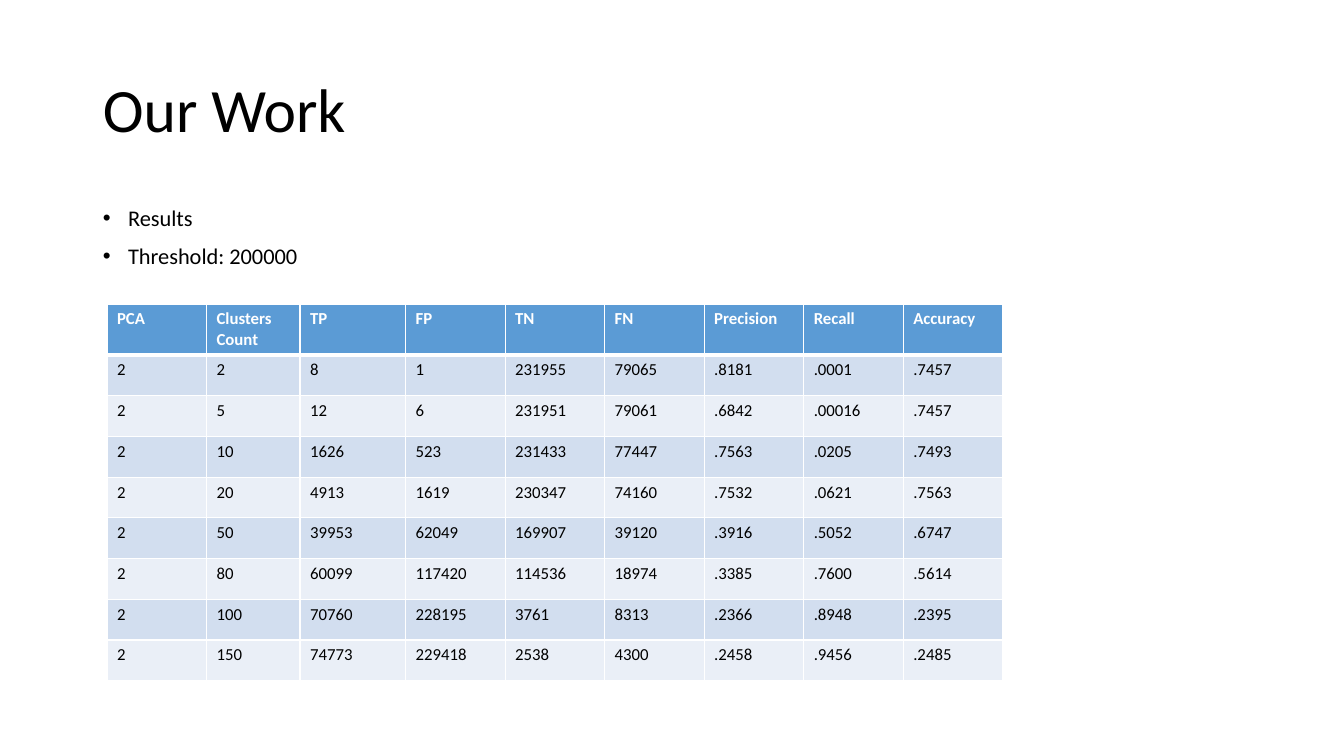
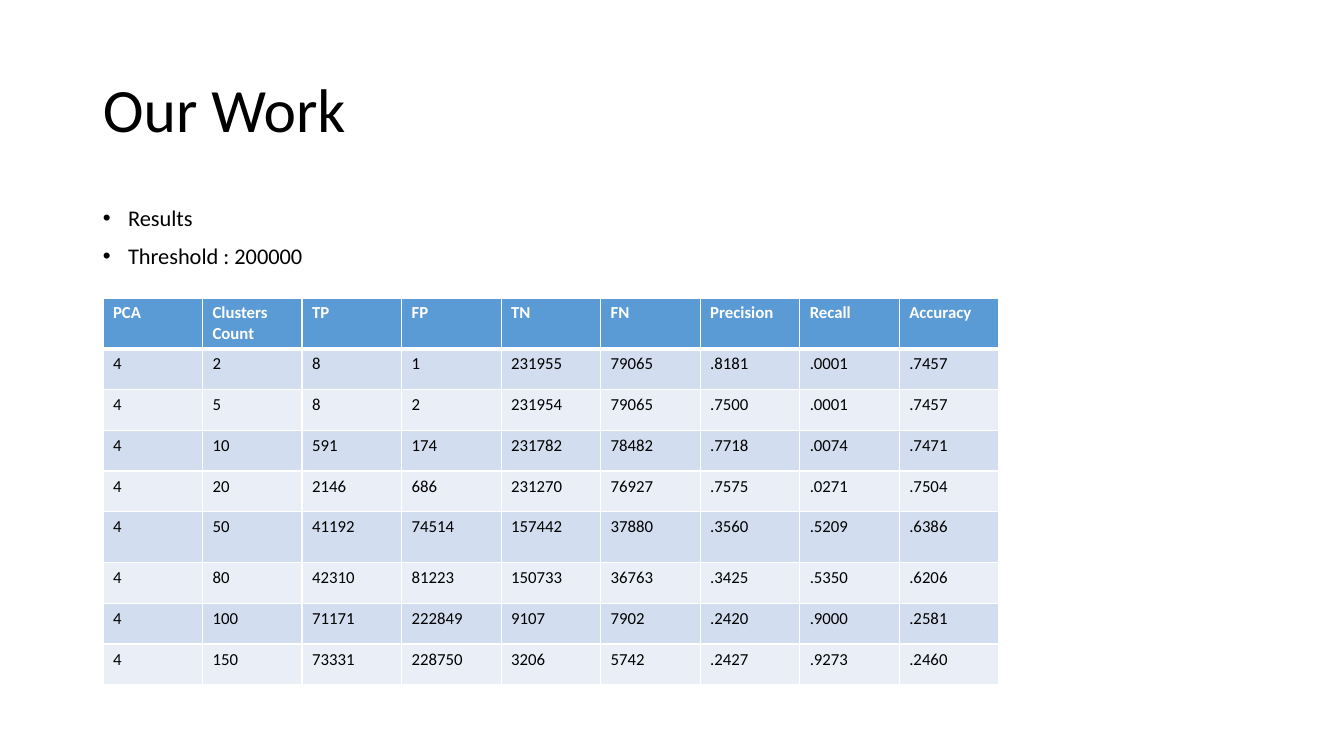
"""Build two slides of clustering results, each with a title, bullets and a table."""
import dataclasses
import typing

import lxml.etree
import pptx
import pptx.dml.color
import pptx.enum.text
import pptx.oxml.ns
import pptx.util

RGB = pptx.dml.color.RGBColor
BLACK = RGB(0x00, 0x00, 0x00)
WHITE = RGB(0xFF, 0xFF, 0xFF)
BLUE = RGB(0x5B, 0x9B, 0xD5)
BANDS = (RGB(0xEA, 0xEF, 0xF7), RGB(0xD2, 0xDE, 0xEF))

SCALE = 914400 / 100.8
TALL = 51
HEADS = ("PCA", "Clusters Count", "TP", "FP", "TN", "FN", "Precision", "Recall", "Accuracy")
COUNTS = ("2", "5", "10", "20", "50", "80", "100", "150")

TITLE = {"name": "Calibri", "size": pptx.util.Pt(44), "bold": False}
BODY = TITLE | {"size": pptx.util.Pt(16)}
CELL = TITLE | {"size": pptx.util.Pt(12)}
HEAD = CELL | {"bold": True}
PLAIN = {"line_spacing": 0.9, "space_before": pptx.util.Pt(0)}
LIST = PLAIN | {"space_before": pptx.util.Pt(10)}


class Box(typing.NamedTuple):
    left: int
    top: int
    width: int
    height: int


@dataclasses.dataclass(frozen=True)
class Result:
    points: tuple[str, ...]
    box: Box
    shift: int
    tall: tuple[int, ...]
    pca: str
    scores: tuple[str, ...]


TITLE_BOX = Box(93, 40, 1159, 146)
BODY_BOX = Box(93, 202, 1159, 480)

RESULTS = (
    Result(
        ("Results", "Threshold: 200000"), Box(107, 304, 896, 377), 6, (0,), "2",
        (
            "8 1 231955 79065 .8181 .0001 .7457",
            "12 6 231951 79061 .6842 .00016 .7457",
            "1626 523 231433 77447 .7563 .0205 .7493",
            "4913 1619 230347 74160 .7532 .0621 .7563",
            "39953 62049 169907 39120 .3916 .5052 .6747",
            "60099 117420 114536 18974 .3385 .7600 .5614",
            "70760 228195 3761 8313 .2366 .8948 .2395",
            "74773 229418 2538 4300 .2458 .9456 .2485",
        ),
    ),
    Result(
        ("Results", "Threshold : 200000"), Box(103, 298, 896, 387), 0, (0, 5), "4",
        (
            "8 1 231955 79065 .8181 .0001 .7457",
            "8 2 231954 79065 .7500 .0001 .7457",
            "591 174 231782 78482 .7718 .0074 .7471",
            "2146 686 231270 76927 .7575 .0271 .7504",
            "41192 74514 157442 37880 .3560 .5209 .6386",
            "42310 81223 150733 36763 .3425 .5350 .6206",
            "71171 222849 9107 7902 .2420 .9000 .2581",
            "73331 228750 3206 5742 .2427 .9273 .2460",
        ),
    ),
)


def emu(length: float) -> int:
    return round(length * SCALE)


def format_all(item: typing.Any, values: dict[str, typing.Any]) -> None:
    for name, value in values.items():
        setattr(item, name, value)


def write(par: typing.Any, text: str, font: dict[str, typing.Any], tint: RGB) -> None:
    run = par.add_run()
    run.text = text
    format_all(run.font, font)
    run.font.color.rgb = tint


def add_frame(slide: typing.Any, box: Box, anchor: typing.Any) -> typing.Any:
    frame = slide.shapes.add_textbox(*map(emu, box)).text_frame
    format_all(frame, {"word_wrap": True, "vertical_anchor": anchor})
    return frame


def add_title(slide: typing.Any, text: str) -> None:
    par = add_frame(slide, TITLE_BOX, pptx.enum.text.MSO_ANCHOR.MIDDLE).paragraphs[0]
    format_all(par, PLAIN)
    write(par, text, TITLE, BLACK)


def add_points(slide: typing.Any, points: tuple[str, ...]) -> None:
    frame = add_frame(slide, BODY_BOX, pptx.enum.text.MSO_ANCHOR.TOP)
    for i, text in enumerate(points):
        par = frame.add_paragraph() if i else frame.paragraphs[0]
        format_all(par, LIST)
        props = par._p.get_or_add_pPr()
        props.set("marL", "228600")
        props.set("indent", "-228600")
        tag = pptx.oxml.ns.qn
        lxml.etree.SubElement(props, tag("a:buFont")).set("typeface", "Arial")
        lxml.etree.SubElement(props, tag("a:buChar")).set("char", "•")
        write(par, text, BODY, BLACK)


def add_edges(cell: typing.Any, row: int) -> None:
    props = cell._tc.get_or_add_tcPr()
    tag = pptx.oxml.ns.qn
    widths = {"L": 1, "R": 1, "T": 3 if row == 1 else 1, "B": 3 if row == 0 else 1}
    for i, (side, width) in enumerate(widths.items()):
        line = lxml.etree.Element(tag(f"a:ln{side}"), w=str(pptx.util.Pt(width)))
        fill = lxml.etree.SubElement(line, tag("a:solidFill"))
        lxml.etree.SubElement(fill, tag("a:srgbClr")).set("val", str(WHITE))
        props.insert(i, line)


def add_grid(slide: typing.Any, result: Result) -> None:
    box = result.box
    rows = [HEADS] + [
        (result.pca, count, *score.split()) for count, score in zip(COUNTS, result.scores)
    ]
    table = slide.shapes.add_table(len(rows), len(HEADS), *map(emu, box)).table
    shifts = {1: -result.shift, 2: result.shift}
    for i, col in enumerate(table.columns):
        col.width = emu(box.width / len(HEADS) + shifts.get(i, 0))
    short = (box.height - TALL * len(result.tall)) / (len(rows) - len(result.tall))
    for i, texts in enumerate(rows):
        table.rows[i].height = emu(TALL if i in result.tall else short)
        for j, text in enumerate(texts):
            cell = table.cell(i, j)
            cell.fill.solid()
            cell.fill.fore_color.rgb = BANDS[i % 2] if i else BLUE
            add_edges(cell, i)
            font, tint = (CELL, BLACK) if i else (HEAD, WHITE)
            write(cell.text_frame.paragraphs[0], text, font, tint)


def main() -> None:
    deck = pptx.Presentation()
    format_all(deck, {"slide_width": emu(1344), "slide_height": emu(756)})
    for result in RESULTS:
        slide = deck.slides.add_slide(deck.slide_layouts[6])
        add_title(slide, "Our Work")
        add_points(slide, result.points)
        add_grid(slide, result)
    deck.save("out.pptx")


main()
